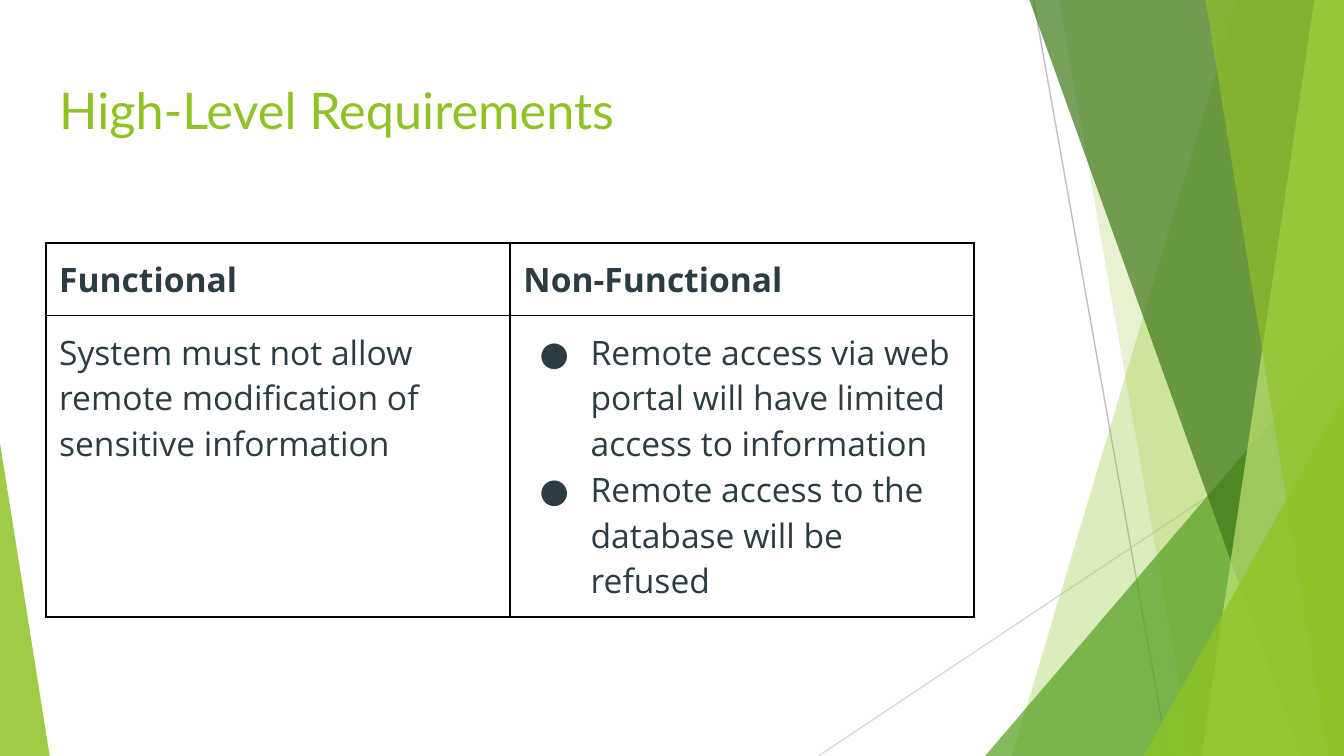
from lxml import etree
from pptx import Presentation, util as u
from pptx.dml.color import RGBColor
from pptx.enum import shapes as sh, text as tx
from pptx.oxml.ns import qn

HEX = {"lime": "90C226", "leaf": "54A021", "moss": "3F7819", "pale": "C0E474",
       "ink": "2C3C43", "gray": "BFBFBF", "mist": "D9D9D9", "black": "000000"}
WIDE = 10
HIGH = WIDE * 9 / 16


def rgb(name):
    return RGBColor.from_string(HEX[name])


def sub(node, tag, **attrs):
    return etree.SubElement(node, qn(tag), attrs)


def paint(shape, color, alpha):
    """Fill a shape with no outline; alpha is the opacity in percent."""
    shape.shadow.inherit = False
    shape.line.fill.background()
    shape.fill.solid()
    shape.fill.fore_color.rgb = rgb(color)
    tone = shape.element.spPr.find(".//" + qn("a:srgbClr"))
    sub(tone, "a:alpha", val=str(alpha * 1000))


def write(frame, lines, font="Open Sans", size=18, color="ink", bold=False, dot=None):
    """Fill a frame, one paragraph a line; dot is an optional bullet sign."""
    for i, line in enumerate(lines):
        para = frame.paragraphs[0] if i == 0 else frame.add_paragraph()
        para.alignment = tx.PP_ALIGN.LEFT
        if dot:
            props = para._p.get_or_add_pPr()
            props.set("marL", str(u.Inches(0.5)))
            props.set("indent", str(u.Inches(-0.38)))
            sub(sub(props, "a:buClr"), "a:srgbClr", val=HEX[color])
            sub(props, "a:buFont", typeface=font)
            sub(props, "a:buChar", char=dot)
        run = para.add_run()
        run.text = line
        run.font.name, run.font.size = font, u.Pt(size)
        run.font.bold, run.font.color.rgb = bold, rgb(color)


def add_line(slide, start, end, color):
    line = slide.shapes.add_connector(
        sh.MSO_CONNECTOR.STRAIGHT, *(u.Inches(v) for v in (*start, *end)))
    line.line.color.rgb = rgb(color)
    line.line.width = u.Pt(0.75)
    sub(line.element.spPr, "a:effectLst")


def add_shard(slide, box, top, foot, color, alpha):
    """Draw a slanted panel that runs from a slope to the right edge of the box."""
    left, y, wide, high = box
    right, base = left + wide, y + high
    pen = slide.shapes.build_freeform(
        u.Inches(left + top), u.Inches(y), scale=1.0)
    pen.add_line_segments([(u.Inches(a), u.Inches(b)) for a, b in
                           ((right, y), (right, base), (left + foot, base))])
    paint(pen.convert_to_shape(), color, alpha)


def add_wedge(slide, box, peak, color, alpha):
    """Draw a triangle whose peak is at the left (0) or right (1) of its box."""
    wedge = slide.shapes.add_shape(
        sh.MSO_SHAPE.ISOSCELES_TRIANGLE, *map(u.Inches, box))
    wedge.adjustments[0] = peak
    paint(wedge, color, alpha)


def add_facets(slide, box):
    left, y, wide, high = box
    right, base = left + wide, y + high

    def corner(width, height, color, alpha):
        add_wedge(slide, (right - width, base - height, width, height), 1, color, alpha)

    add_line(slide, (left + 1.69, y), (left + 2.69, base), "gray")
    add_line(slide, (right, y + 3.02), (left + 0.09, base), "mist")
    add_shard(slide, box, 3.21, 1.53, "lime", 30)
    add_shard(slide, box, 1.88, 2.87, "lime", 20)
    corner(2.67, 3.12, "leaf", 72)
    for shard in ((1.66, 3.68, "moss", 70), (3.78, 2.94, "pale", 70),
                  (2.97, 3.88, "lime", 65)):
        add_shard(slide, box, *shard)
    corner(1.49, 2.68, "lime", 80)


def add_title(slide, box, words):
    title = slide.shapes.title
    title.left, title.top, title.width, title.height = map(u.Inches, box)
    frame = title.text_frame
    frame.margin_left = frame.margin_right = u.Inches(0.1)
    frame.margin_top = frame.margin_bottom = u.Inches(0.1)
    frame.auto_size = tx.MSO_AUTO_SIZE.NONE
    frame.vertical_anchor = tx.MSO_ANCHOR.TOP
    write(frame, [words], font="Lato", size=27, color="lime")
    slide.shapes.element.append(title.element)  # bring in front of the facets


def frame_cell(cell, thin):
    """Give a cell black borders; thin names the side with the lighter rule."""
    props = cell._tc.get_or_add_tcPr()
    for side in "LRTB":
        width = 0.75 if side == thin else 1.25
        edge = sub(props, "a:ln" + side, w=str(u.Pt(width)))
        sub(sub(edge, "a:solidFill"), "a:srgbClr", val=HEX["black"])
    cell.fill.background()


def add_grid(slide, box, heads, cells):
    left, y, wide, high = box
    table = slide.shapes.add_table(2, len(heads), *map(u.Inches, box)).table
    table.horz_banding = table.first_row = False
    table.rows[0].height = u.Inches(0.54)
    table.rows[1].height = u.Inches(high - 0.54)
    for r, row in enumerate(([[head] for head in heads], cells)):
        for c, lines in enumerate(row):
            cell = table.cell(r, c)
            cell.margin_left = cell.margin_right = u.Inches(0.1)
            cell.margin_top = cell.margin_bottom = u.Inches(0.1)
            write(cell.text_frame, lines, bold=r == 0,
                  dot="●" if len(lines) > 1 else None)
            frame_cell(cell, "TB"[r == 0])


def main():
    deck = Presentation()
    deck.slide_width, deck.slide_height = u.Inches(WIDE), u.Inches(HIGH)
    slide = deck.slides.add_slide(deck.slide_layouts[5])
    add_facets(slide, (6, 0, WIDE - 6, HIGH))
    add_wedge(slide, (0, HIGH - 2.33, 0.37, 2.33), 0, "lime", 85)
    add_title(slide, (0.34, 0.49, 9.32, 0.77), "High-Level Requirements")
    add_grid(slide, (0.34, 1.81, 6.91, 2.78), ["Functional", "Non-Functional"], [
        ["System must not allow remote modification of sensitive information"],
        ["Remote access via web portal will have limited access to information",
         "Remote access to the database will be refused"]])
    deck.save("out.pptx")


if __name__ == "__main__":
    main()
